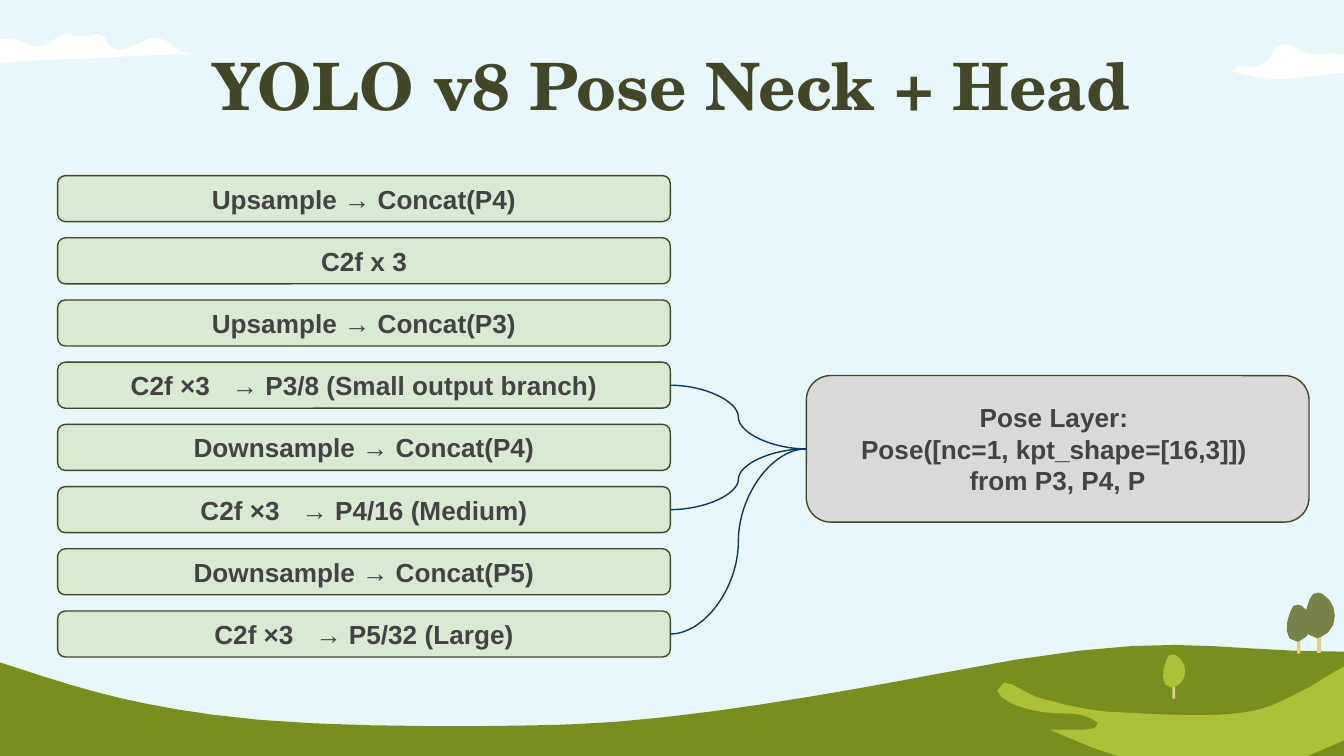
from math import dist

from pptx import Presentation
from pptx.dml.color import RGBColor as Rgb
from pptx.enum.shapes import MSO_CONNECTOR as Link, MSO_SHAPE as Form
from pptx.enum.text import MSO_ANCHOR as Anchor, MSO_AUTO_SIZE as Fit, PP_ALIGN as Align
from pptx.oxml.ns import qn
from pptx.util import Cm, Pt

COLORS = {
    "sky": "E8F7FA", "hill": "788F1F", "field": "ADC138", "leaf": "778246",
    "trunk": "E2CE8D", "cloud": "FFFFFF", "dark": "424727", "step": "D9EAD3",
    "pose": "D9D9D9", "text": "434343", "link": "073763",
}
UNIT = Cm(2.54) / 100  # grid of the scenery outlines

# Outlines: a start point, then two handles and an end point per curve
HILL = [(0, 493), (50, 509), (85, 522), (159, 532), (243, 544), (407, 540), (427, 539),
        (510, 536), (626, 515), (695, 502), (878, 466), (888, 485), (1000, 485)]
FIELD = [(1000, 496), (991, 501), (983, 506), (975, 511), (965, 516), (956, 521), (946, 525),
         (934, 530), (920, 531), (907, 532), (880, 533), (850, 531), (832, 530),
         (819, 530), (804, 527), (791, 524), (785, 522), (778, 521), (772, 519),
         (766, 517), (762, 514), (756, 511), (756, 511), (752, 508), (747, 508),
         (742, 508), (740, 511), (742, 514), (744, 520), (751, 522), (756, 525),
         (768, 529), (779, 531), (791, 531), (796, 531), (801, 531), (805, 532),
         (808, 533), (816, 536), (817, 538), (819, 542), (812, 543), (806, 543),
         (798, 543), (790, 543), (781, 543), (800, 551), (815, 558), (832, 562.5)]
LEAF = [(11, 0), (10, 0), (9, 0), (7, 1), (5, 3), (4, 6), (3, 9), (2, 11), (1, 14), (1, 16),
        (0, 21), (0, 27), (3, 31), (5, 33), (8, 34), (10, 34), (11, 34), (12, 33), (13, 33),
        (17, 32), (20, 28), (22, 24), (25, 15), (22, 6), (14, 1), (13, 0), (12, 0), (11, 0)]
EAST = [(955, 33), (953, 33), (950, 34), (948, 37), (947, 40), (946, 43), (943, 45),
        (940, 48), (937, 50), (932, 50), (928, 50), (925, 49), (922, 49),
        (920, 49), (917, 50), (916, 53), (926, 55), (935, 59), (950, 59),
        (967, 59), (983, 55), (1000, 54), (1000, 50), (1000, 45), (1000, 41),
        (992, 39), (986, 40), (979, 41), (975, 41), (970, 40), (967, 37),
        (963, 35), (959, 33), (955, 33)]
WEST = [(0, 46.5), (50, 44), (95, 42), (142, 40), (137, 40), (132, 37), (127, 33),
        (123, 30), (120, 28), (116, 28), (111, 28), (106, 31), (100, 34),
        (97, 35), (93, 37), (89, 37), (86, 37), (84, 36), (81, 34),
        (80, 32), (80, 30), (78, 28), (77, 25), (75, 25), (73, 25),
        (71, 25), (68, 26), (66, 27), (63, 27), (60, 27), (57, 27),
        (55, 26), (53, 25), (50, 25), (47, 26), (44, 27), (42, 28),
        (38, 32), (33, 35), (28, 35), (24, 35), (21, 34), (17, 31),
        (12, 28), (6, 30), (0, 29)]

# Each line is a list of runs; a lone space is a wide gap
GAP = " "
STEPS = [["Upsample → Concat(P4)"], ["C2f x 3"], ["Upsample → Concat(P3)"],
         ["C2f ×3", GAP, "→ P3/8 (Small output branch)"], ["Downsample → Concat(P4)"],
         ["C2f ×3", GAP, "→ P4/16 (Medium)"], ["Downsample → Concat(P5)"],
         ["C2f ×3", GAP, "→ P5/32 (Large)"]]
POSE = [["Pose Layer: "], ["Pose([nc=1, kpt_shape=[16,3]]) "], ["from P3, P4, P"]]
OUTPUTS = [5, 7, 3]  # steps that feed the pose layer


def tint(name):
    return Rgb.from_string(COLORS[name])


def paint(shape, color, edge=None):
    shape.shadow.inherit = False
    shape.fill.solid()
    shape.fill.fore_color.rgb = tint(color)
    if edge:
        shape.line.color.rgb = tint(edge)
        shape.line.width = Pt(0.75)
    else:
        shape.line.fill.background()


def trace(knots):
    """Turn a chain of cubic curves into points, more for longer curves."""
    points = [knots[0]]
    for i in range(0, len(knots) - 1, 3):
        a, b, c, d = knots[i:i + 4]
        steps = min(8, 1 + int(dist(a, d) / 8))
        for n in range(1, steps + 1):
            t = n / steps
            s = 1 - t
            points.append(tuple(s**3 * p + 3 * s * s * t * q + 3 * s * t * t * r + t**3 * e
                                for p, q, r, e in zip(a, b, c, d)))
    return points


def add_patch(slide, knots, color, tail=(), x=0, y=0, scale=1):
    points = [((x + scale * u) * UNIT, (y + scale * v) * UNIT)
              for u, v in trace(knots) + list(tail)]
    pen = slide.shapes.build_freeform(*points[0])
    pen.add_line_segments(points[1:], close=True)
    paint(pen.convert_to_shape(), color)


def add_tree(slide, x, y, scale, color):
    place = [(x + 10 * scale) * UNIT, (y + 29 * scale) * UNIT,
             3 * scale * UNIT, 16 * scale * UNIT]
    trunk = slide.shapes.add_shape(Form.RECTANGLE, *(round(n) for n in place))
    paint(trunk, "trunk")
    add_patch(slide, LEAF, color, x=x, y=y, scale=scale)


def write(frame, lines, size, font, color):
    frame.word_wrap = True
    frame.auto_size = Fit.NONE
    frame.margin_left = frame.margin_right = Cm(0.25)
    frame.margin_top = frame.margin_bottom = Cm(0.25)
    for i, line in enumerate(lines):
        para = frame.add_paragraph() if i else frame.paragraphs[0]
        para.alignment = Align.CENTER
        for text in line:
            run = para.add_run()
            run.text = text
            run.font.size = Pt(size)
            run.font.name = font
            run.font.bold = True
            run.font.color.rgb = tint(color)
            if text == GAP:
                run._r.get_or_add_rPr().set("spc", "780")


def add_title(slide, text):
    title = slide.shapes.title
    title.left, title.top, title.width, title.height = Cm(2), Cm(0.61), Cm(21.4), Cm(1.6)
    title.text_frame.vertical_anchor = Anchor.TOP
    write(title.text_frame, [[text]], 35, "TeX Gyre Schola", "dark")


def add_box(slide, x, y, w, h, lines, color):
    box = slide.shapes.add_shape(Form.ROUNDED_RECTANGLE, Cm(x), Cm(y), Cm(w), Cm(h))
    paint(box, color, "dark")
    box.text_frame.vertical_anchor = Anchor.MIDDLE
    write(box.text_frame, lines, 14, "Arial", "text")
    return box


def add_link(slide, start, end):
    link = slide.shapes.add_connector(Link.CURVE, 0, 0, 0, 0)
    link.begin_connect(start, 3)
    link.end_connect(end, 1)
    link.line.color.rgb = tint("link")
    link.line.width = Pt(0.75)
    props = link._element.spPr
    props.append(props.makeelement(qn("a:effectLst"), {}))


def main():
    deck = Presentation()
    deck.slide_width, deck.slide_height = Cm(25.4), Cm(14.29)
    slide = deck.slides.add_slide(deck.slide_layouts[5])
    slide.background.fill.solid()
    slide.background.fill.fore_color.rgb = tint("sky")

    # Scenery
    add_patch(slide, HILL, "hill", [(1000, 562.5), (0, 562.5)])
    add_patch(slide, FIELD, "field", [(973, 562.5), (1000, 551)])
    add_tree(slide, 970, 441, 1, "leaf")
    add_tree(slide, 865, 487, 0.73, "field")
    add_tree(slide, 957, 450, 0.81, "leaf")
    add_patch(slide, EAST, "cloud")
    add_patch(slide, WEST, "cloud")

    add_title(slide, "YOLO v8 Pose Neck + Head")

    # Neck steps, evenly spaced
    top, last = 3.32, 11.55
    pitch = (last - top) / (len(STEPS) - 1)
    boxes = [add_box(slide, 1.09, top + i * pitch, 11.58, 0.87, [step], "step")
             for i, step in enumerate(STEPS)]

    # Head and its inputs
    pose = add_box(slide, 15.24, 7.1, 9.5, 2.77, POSE, "pose")
    for i in OUTPUTS:
        add_link(slide, boxes[i], pose)

    deck.save("out.pptx")


if __name__ == "__main__":
    main()
